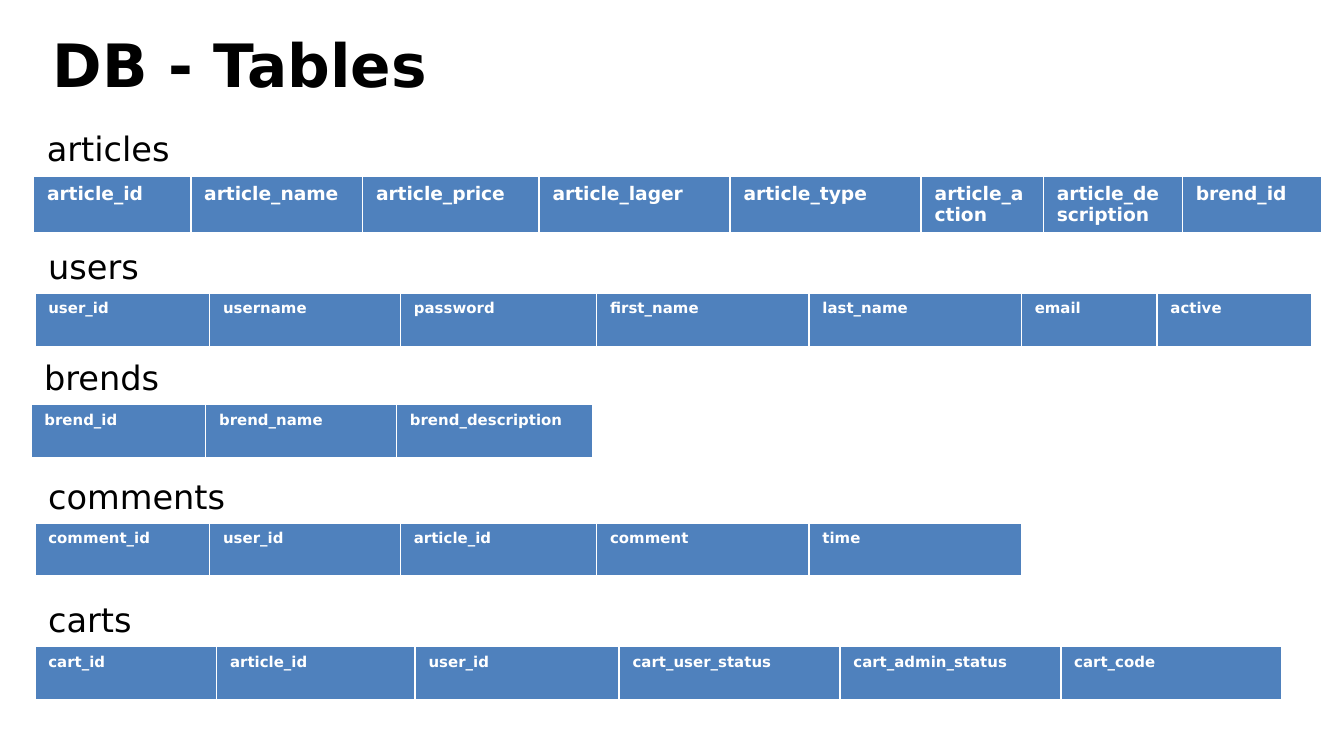
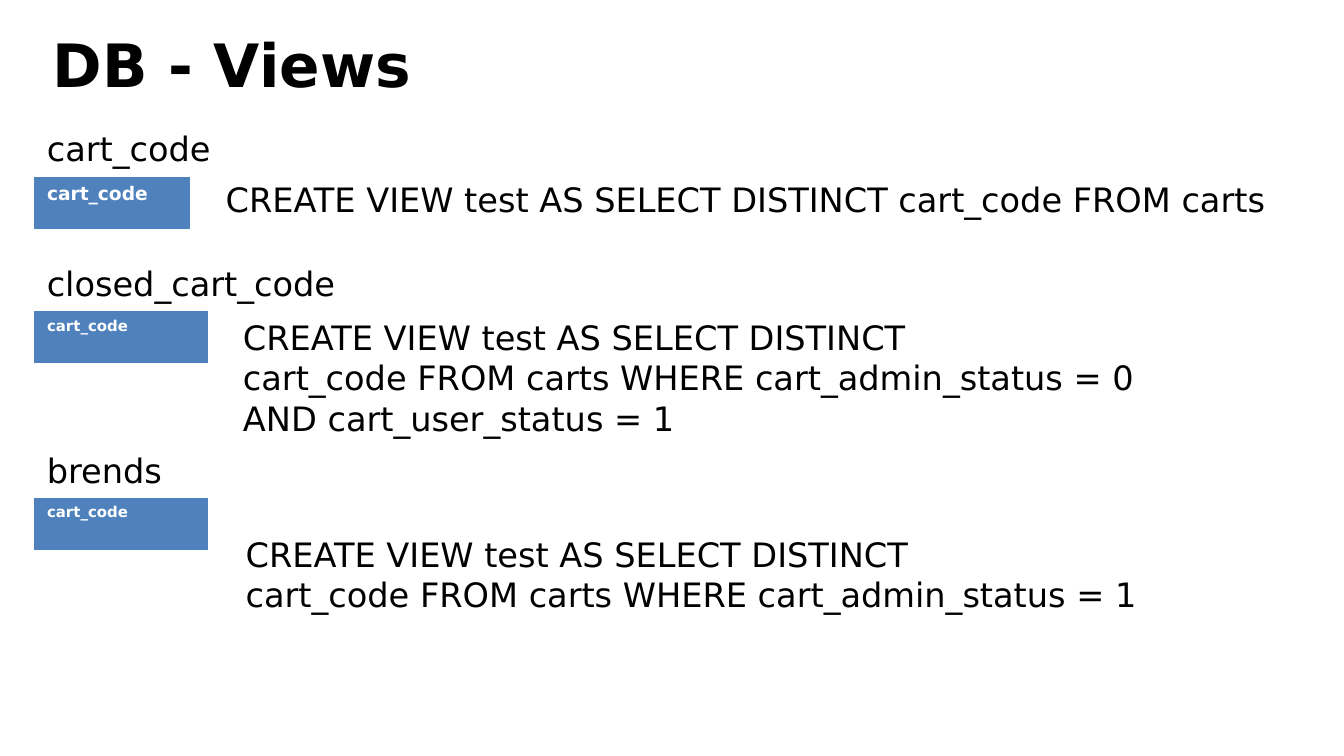
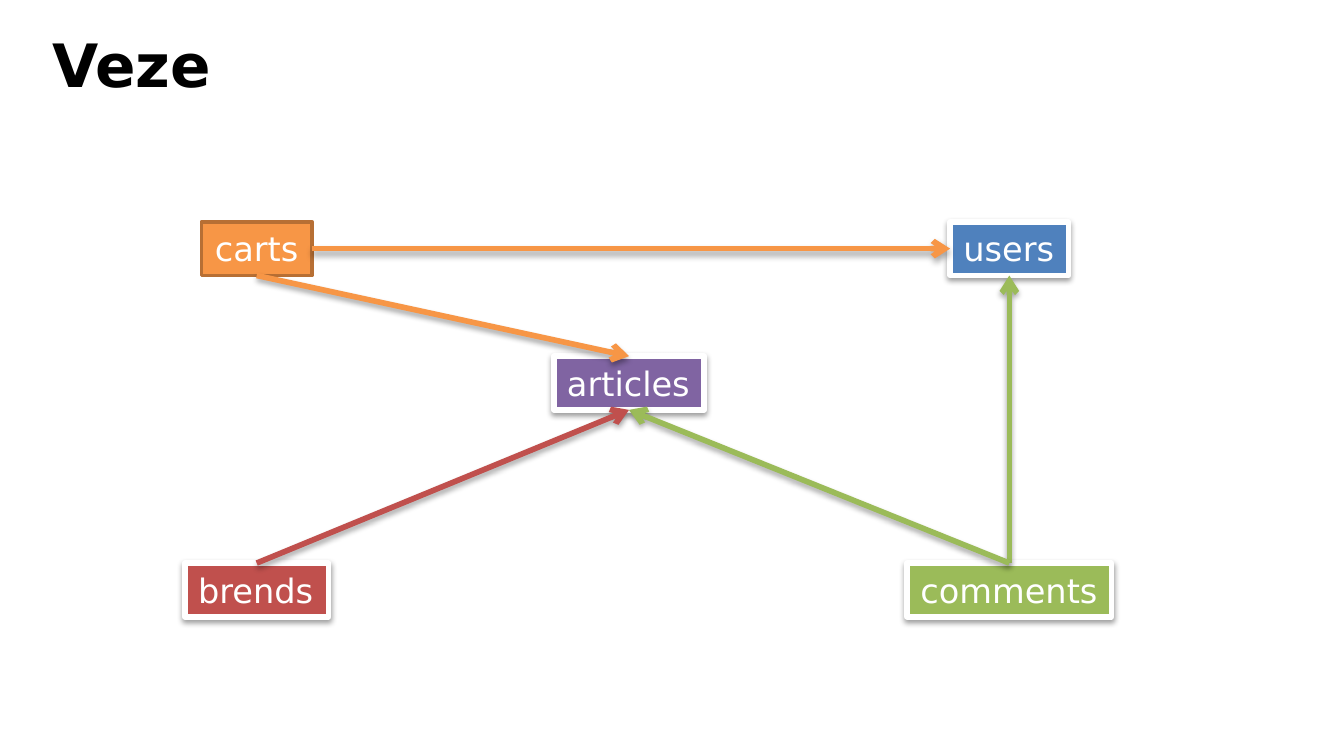
import pptx
import pptx.dml.color
import pptx.enum.shapes
import pptx.enum.text
import pptx.oxml
import pptx.oxml.ns
import pptx.util
from lxml import etree

Inches, Pt = pptx.util.Inches, pptx.util.Pt
RGBColor = pptx.dml.color.RGBColor
MSO_ANCHOR = pptx.enum.text.MSO_ANCHOR
MSO_AUTO_SIZE = pptx.enum.text.MSO_AUTO_SIZE
PP_ALIGN = pptx.enum.text.PP_ALIGN
qn = pptx.oxml.ns.qn

# Shared look
FONT = "DejaVu Sans"
BLACK = RGBColor(0x00, 0x00, 0x00)
WHITE = RGBColor(0xFF, 0xFF, 0xFF)
BLUE = RGBColor(0x4F, 0x81, 0xBD)
PURPLE = RGBColor(0x80, 0x64, 0xA2)
RED = RGBColor(0xC0, 0x50, 0x4D)
GREEN = RGBColor(0x9B, 0xBB, 0x59)
ORANGE = RGBColor(0xF7, 0x96, 0x46)
BROWN = RGBColor(0xB7, 0x6F, 0x34)
LINE_H = 0.4    # height of a one-line text box
ROW_H = 0.41
BORDERS = {"lnL": 1, "lnR": 1, "lnT": 1, "lnB": 3}
TOP, LEFT, BOTTOM, RIGHT = range(4)

# Column widths shared by the tables, before scaling
COLS = [1.3, 1.42, 1.46, 1.58, 1.58, 1.01, 1.15, 1.15]
CART_COLS = COLS[:5] + [1.58]

# name, name width, left, name top, table top, size, columns, scale, fields
TABLES = [
    ("articles", 1.12, 0.25, 0.9, 1.31, 10, COLS, 0.9,
     ["article_id", "article_name", "article_price", "article_lager",
      "article_type", "article_action", "article_description", "brend_id"]),
    ("users", 0.88, 0.26, 1.78, 2.18, 8, COLS, 1,
     ["user_id", "username", "password", "first_name", "last_name",
      "email", "active"]),
    ("brends", 1.07, 0.23, 2.61, 3.01, 8, COLS, 1,
     ["brend_id", "brend_name", "brend_description"]),
    ("comments", 1.52, 0.26, 3.49, 3.89, 8, COLS, 1,
     ["comment_id", "user_id", "article_id", "comment", "time"]),
    ("carts", 0.82, 0.26, 4.41, 4.81, 8, CART_COLS, 1.04,
     ["cart_id", "article_id", "user_id", "cart_user_status",
      "cart_admin_status", "cart_code"]),
]
VIEWS = [
    ("cart_code", 1.49, 0.25, 0.9, 1.31, 10, COLS, 0.9, ["cart_code"]),
    ("closed_cart_code", 2.4, 0.25, 1.91, 2.31, 8, COLS, 1, ["cart_code"]),
    ("brends", 1.07, 0.25, 3.3, 3.7, 8, COLS, 1, ["cart_code"]),
]
# left, top, width, height, lines
QUERIES = [
    (1.58, 1.28, 8.32, 0.4,
     ["CREATE VIEW test AS SELECT DISTINCT cart_code FROM carts"]),
    (1.71, 2.31, 7, 1.01,
     ["CREATE VIEW test AS SELECT DISTINCT",
      "cart_code FROM carts WHERE cart_admin_status = 0",
      "AND cart_user_status = 1"]),
    (1.73, 3.92, 7, 0.71,
     ["CREATE VIEW test AS SELECT DISTINCT",
      "cart_code FROM carts WHERE cart_admin_status = 1"]),
]
# name: centre x, centre y, width, fill, line colour, line width, shadow
ENTITIES = {
    "users": (7.51, 1.85, 0.88, BLUE, WHITE, 3, True),
    "articles": (4.68, 2.85, 1.12, PURPLE, WHITE, 3, True),
    "brends": (1.91, 4.39, 1.07, RED, WHITE, 3, True),
    "comments": (7.51, 4.39, 1.52, GREEN, WHITE, 3, True),
    "carts": (1.91, 1.85, 0.82, ORANGE, BROWN, 2, False),
}
# from, side, to, side
RELATIONS = [
    ("comments", TOP, "users", BOTTOM),
    ("comments", TOP, "articles", BOTTOM),
    ("brends", TOP, "articles", BOTTOM),
    ("carts", BOTTOM, "articles", TOP),
    ("carts", RIGHT, "users", LEFT),
]


def style_text(tf, size, color, bold=False):
    for p in tf.paragraphs:
        for r in p.runs:
            r.font.name, r.font.size, r.font.bold = FONT, Pt(size), bold
            r.font.color.rgb = color


def fill_box(sp, text, color):
    """One text style for labels, queries and entities."""
    tf = sp.text_frame
    tf.text = text
    tf.word_wrap = False
    tf.auto_size = MSO_AUTO_SIZE.SHAPE_TO_FIT_TEXT
    tf.vertical_anchor = MSO_ANCHOR.TOP
    for p in tf.paragraphs:
        p.alignment = PP_ALIGN.LEFT
    style_text(tf, 18, color)


def add_text(slide, x, y, w, h, text):
    sp = slide.shapes.add_textbox(Inches(x), Inches(y), Inches(w), Inches(h))
    fill_box(sp, text, BLACK)


def add_slide(prs, title):
    slide = prs.slides.add_slide(prs.slide_layouts[5])
    sp = slide.shapes.title
    sp.left, sp.top = Inches(0.29), Inches(0.12)
    sp.width, sp.height = Inches(9.42), Inches(0.7)
    tf = sp.text_frame
    tf.text = title
    tf.auto_size = MSO_AUTO_SIZE.NONE
    tf.vertical_anchor = MSO_ANCHOR.MIDDLE
    tf.paragraphs[0].alignment = PP_ALIGN.LEFT
    style_text(tf, 32, BLACK, bold=True)
    return slide


def add_borders(cell):
    tcPr = cell._tc.get_or_add_tcPr()
    for i, (tag, width) in enumerate(BORDERS.items()):
        ln = etree.Element(qn("a:" + tag), w=str(Pt(width)))
        fill = etree.SubElement(ln, qn("a:solidFill"))
        etree.SubElement(fill, qn("a:srgbClr"), val=str(WHITE))
        tcPr.insert(i, ln)


def add_db_table(slide, name, name_w, x, name_y, y, size, cols, scale,
                 fields):
    add_text(slide, x, name_y, name_w, LINE_H, name)
    widths = [Inches(w * scale) for w in cols[:len(fields)]]
    table = slide.shapes.add_table(1, len(fields), Inches(x), Inches(y),
                                   sum(widths), Inches(ROW_H)).table
    for column, width, cell, field in zip(table.columns, widths,
                                          table.rows[0].cells, fields):
        column.width = width
        cell.text_frame.text = field
        style_text(cell.text_frame, size, WHITE, bold=True)
        cell.fill.solid()
        cell.fill.fore_color.rgb = BLUE
        add_borders(cell)


def add_shadow(sp, distance, opacity):
    spPr = sp._element.spPr
    effects = spPr.find(qn("a:effectLst"))
    if effects is None:
        effects = etree.SubElement(spPr, qn("a:effectLst"))
    shadow = etree.SubElement(
        effects, qn("a:outerShdw"), blurRad=str(Pt(3.1)),
        dist=str(Pt(distance)), dir=str(90 * 60000), rotWithShape="0")
    color = etree.SubElement(shadow, qn("a:srgbClr"), val=str(BLACK))
    etree.SubElement(color, qn("a:alpha"), val=str(opacity * 1000))


def add_entity(slide, name, cx, cy, w, fill, line, line_w, shadow):
    sp = slide.shapes.add_shape(
        pptx.enum.shapes.MSO_SHAPE.RECTANGLE, Inches(cx - w / 2),
        Inches(cy - LINE_H / 2), Inches(w), Inches(LINE_H))
    sp.fill.solid()
    sp.fill.fore_color.rgb = fill
    sp.line.color.rgb, sp.line.width = line, Pt(line_w)
    sp.shadow.inherit = False
    if shadow:
        add_shadow(sp, 1.6, 38)
    fill_box(sp, name, WHITE)
    return sp


def add_relation(slide, start, start_side, end, end_side, color):
    line = slide.shapes.add_connector(
        pptx.enum.shapes.MSO_CONNECTOR.STRAIGHT, 0, 0, 0, 0)
    line.begin_connect(start, start_side)
    line.end_connect(end, end_side)
    line.line.color.rgb, line.line.width = color, Pt(3)
    etree.SubElement(line.line._get_or_add_ln(), qn("a:tailEnd"), type="arrow")
    add_shadow(line, 1.8, 35)


def main():
    prs = pptx.Presentation()
    prs.slide_width = Inches(10)
    prs.slide_height = prs.slide_width * 9 // 16

    # Tables
    slide = add_slide(prs, "DB - Tables")
    for table in TABLES:
        add_db_table(slide, *table)

    # Views and their queries
    slide = add_slide(prs, "DB - Views")
    for view in VIEWS:
        add_db_table(slide, *view)
    for x, y, w, h, lines in QUERIES:
        add_text(slide, x, y, w, h, "\n".join(lines))

    # Relations
    slide = add_slide(prs, "Veze")
    boxes = {name: add_entity(slide, name, *entity)
             for name, entity in ENTITIES.items()}
    for start, start_side, end, end_side in RELATIONS:
        add_relation(slide, boxes[start], start_side, boxes[end], end_side,
                     ENTITIES[start][3])

    prs.save("out.pptx")


if __name__ == "__main__":
    main()
